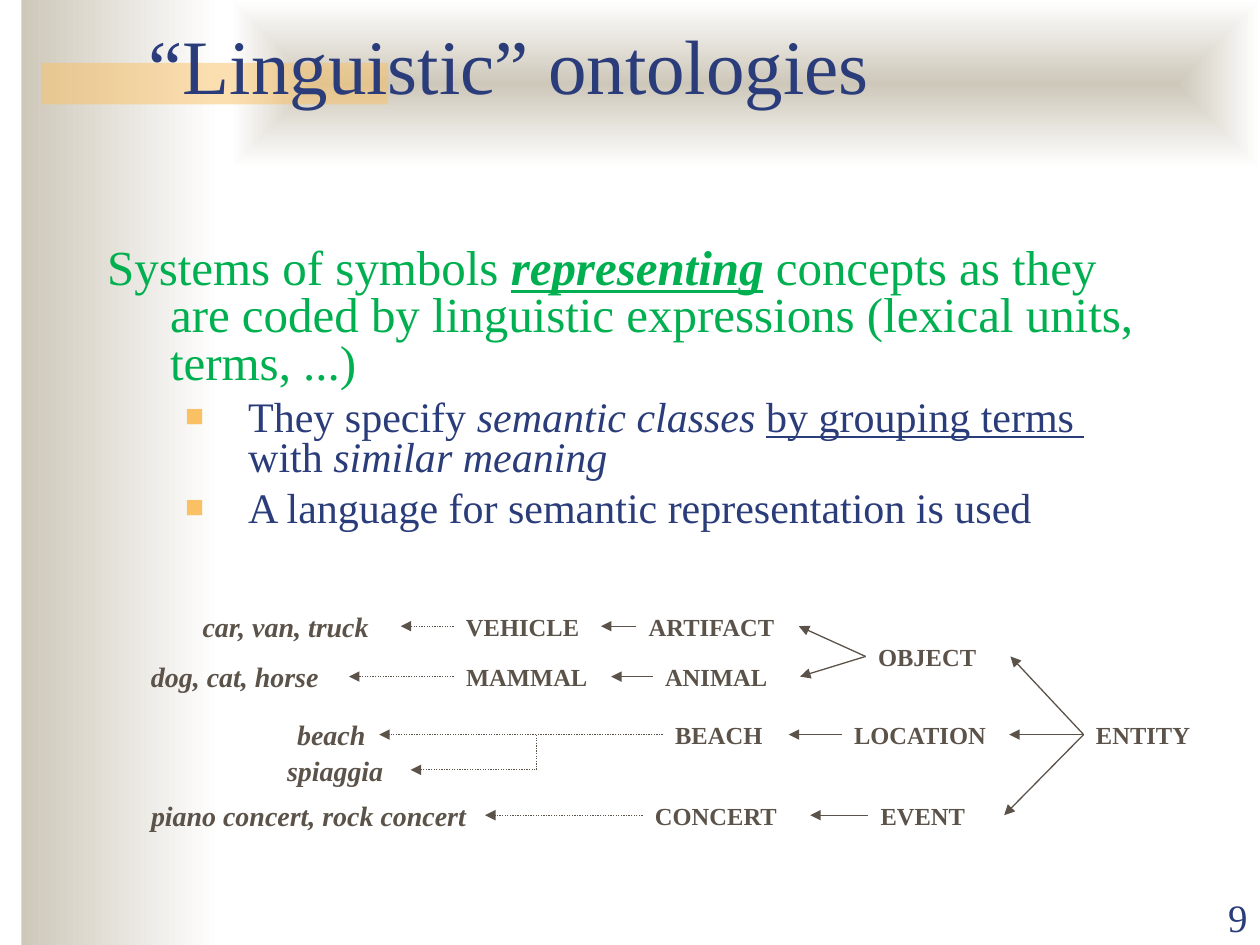
import pptx
import pptx.util
import pptx.dml.color
import pptx.enum.dml
import pptx.enum.shapes
import pptx.enum.text
import pptx.oxml
import pptx.oxml.ns

Inches, Pt = pptx.util.Inches, pptx.util.Pt
RGBColor = pptx.dml.color.RGBColor
ANCHOR = pptx.enum.text.MSO_ANCHOR
ALIGN = pptx.enum.text.PP_ALIGN
CONNECTOR = pptx.enum.shapes.MSO_CONNECTOR
qn = pptx.oxml.ns.qn

NAVY = RGBColor(0x2A, 0x3D, 0x7A)
GREEN = RGBColor(0x00, 0xB0, 0x50)
BROWN = RGBColor(0x5B, 0x52, 0x49)
SAND = RGBColor(0xCE, 0xC8, 0xBA)
ORANGE = RGBColor(0xFA, 0xC1, 0x64)
WHITE = RGBColor(0xFF, 0xFF, 0xFF)
FONT = "Times New Roman"

TITLE = "“Linguistic” ontologies"
LEAD = [
    ("Systems of symbols ", {}),
    ("representing", {"bold": True, "italic": True, "underline": True}),
    (" concepts as they are coded by linguistic expressions (lexical units, terms, ...)", {}),
]
POINTS = [
    [
        ("They specify ", {}),
        ("semantic classes ", {"italic": True}),
        ("by grouping terms  ", {"underline": True}),
        ("with ", {}),
        ("similar meaning", {"italic": True}),
    ],
    [("A language for semantic representation is used", {})],
]

# name: (left, centre height, width)
CONCEPTS = {
    "ENTITY": (8.6, 5.83, 1.17),
    "OBJECT": (6.87, 5.21, 1.15),
    "LOCATION": (6.68, 5.83, 1.33),
    "EVENT": (6.89, 6.47, 1.08),
    "ARTIFACT": (5.05, 4.97, 1.29),
    "ANIMAL": (5.18, 5.37, 1.17),
    "BEACH": (5.26, 5.83, 1),
    "CONCERT": (5.1, 6.47, 1.33),
    "VEHICLE": (3.6, 4.97, 1.17),
    "MAMMAL": (3.6, 5.37, 1.25),
}
TERMS = {
    "car, van, truck": (1.51, 4.97, 1.67),
    "dog, cat, horse": (1.1, 5.37, 1.67),
    "beach": (2.26, 5.83, 0.75),
    "spiaggia": (2.18, 6.11, 1.08),
    "piano concert, rock concert": (1.1, 6.47, 2.75),
}
CHILDREN = {
    "ENTITY": ["OBJECT", "LOCATION", "EVENT"],
    "OBJECT": ["ARTIFACT", "ANIMAL"],
    "LOCATION": ["BEACH"],
    "EVENT": ["CONCERT"],
    "ARTIFACT": ["VEHICLE"],
    "ANIMAL": ["MAMMAL"],
    "VEHICLE": ["car, van, truck"],
    "MAMMAL": ["dog, cat, horse"],
    "BEACH": ["beach", "spiaggia"],
    "CONCERT": ["piano concert, rock concert"],
}


def add_xml(parent, xml):
    head, tail = xml.split(" ", 1)
    ns = 'xmlns:a="http://schemas.openxmlformats.org/drawingml/2006/main"'
    el = pptx.oxml.parse_xml(f"{head} {ns} {tail}")
    parent.append(el)
    return el


def add_run(p, text, size=14, color=BROWN, bold=False, italic=False, underline=False):
    r = p.add_run()
    r.text = text
    f = r.font
    f.name, f.size, f.bold, f.italic, f.underline = FONT, Pt(size), bold, italic, underline
    f.color.rgb = color


def place(sp, left, top, width, height):
    sp.left, sp.top, sp.width, sp.height = map(Inches, (left, top, width, height))


def add_label(slide, text, box, anchor=ANCHOR.MIDDLE, align=ALIGN.LEFT, **fmt):
    tf = slide.shapes.add_textbox(*map(Inches, box)).text_frame
    tf.word_wrap = True
    tf.vertical_anchor = anchor
    tf.paragraphs[0].alignment = align
    add_run(tf.paragraphs[0], text, **fmt)


def add_panel(slide, box):
    sp = slide.shapes.add_shape(pptx.enum.shapes.MSO_SHAPE.RECTANGLE, *map(Inches, box))
    sp.shadow.inherit = False
    sp.line.fill.background()
    return sp


def fade(sp):
    sp.fill.gradient()
    sp.fill.gradient_angle = 0
    for stop, color, pos in zip(sp.fill.gradient_stops, (SAND, WHITE), (0, 1)):
        stop.color.rgb = color
        stop.position = pos


def add_decoration(slide):
    fade(add_panel(slide, (0.17, 0, 1.58, 7.5)))
    band = add_panel(slide, (1.83, 0, 8.17, 1.33))
    fade(band)
    grad = band._element.spPr.find(qn("a:gradFill"))
    centre = add_xml(grad, '<a:path path="rect"><a:fillToRect l="50000" t="50000" r="50000" b="50000"/></a:path>')
    grad.replace(grad.find(qn("a:lin")), centre)
    bar = add_panel(slide, (0.33, 0.5, 2.75, 0.33))
    bar.fill.solid()
    bar.fill.fore_color.rgb = ORANGE
    add_xml(bar._element.spPr.find(".//" + qn("a:srgbClr")), '<a:alpha val="50000"/>')


def fill_paragraph(p, runs, size, color, margin, before, bullet):
    p.line_spacing = 0.8
    p.space_before = Pt(before)
    pPr = p._p.get_or_add_pPr()
    pPr.set("marL", str(Inches(margin)))
    pPr.set("indent", str(Inches(-0.5)))
    for xml in bullet:
        add_xml(pPr, xml)
    for text, fmt in runs:
        add_run(p, text, size=size, color=color, **fmt)


def add_texts(slide):
    title, body = slide.placeholders
    for sp in (title, body):
        slide.shapes._spTree.append(sp._element)
        sp.text_frame.auto_size = pptx.enum.text.MSO_AUTO_SIZE.NONE
    place(title, 1.08, 0, 8, 0.92)
    title.text_frame.vertical_anchor = ANCHOR.BOTTOM
    p = title.text_frame.paragraphs[0]
    p.alignment = ALIGN.LEFT
    add_run(p, TITLE, size=44, color=NAVY)

    place(body, 0.75, 1.92, 8.5, 3.05)
    tf = body.text_frame
    fill_paragraph(tf.paragraphs[0], LEAD, 28, GREEN, 0.5, 7, ["<a:buNone />"])
    square = [
        f'<a:buClr ><a:srgbClr val="{ORANGE}"/></a:buClr>',
        '<a:buSzPct val="75000"/>',
        '<a:buFont typeface="Arial"/>',
        '<a:buChar char="■"/>',
    ]
    for runs in POINTS:
        p = tf.add_paragraph()
        p.level = 1
        fill_paragraph(p, runs, 24, NAVY, 1.12, 6, square)


def add_arrow(slide, start, end, dotted):
    kind = CONNECTOR.ELBOW if dotted and start[1] != end[1] else CONNECTOR.STRAIGHT
    cx = slide.shapes.add_connector(kind, *map(Inches, start + end))
    cx.line.color.rgb = BROWN
    cx.line.width = Pt(0.75)
    if dotted:
        cx.line.dash_style = pptx.enum.dml.MSO_LINE.ROUND_DOT
    add_xml(cx.line._get_or_add_ln(), '<a:tailEnd type="triangle"/>')
    add_xml(cx._element.spPr, "<a:effectLst />")


def add_taxonomy(slide):
    for nodes, size, height in ((CONCEPTS, 14, 0.34), (TERMS, 16, 0.37)):
        for name, (left, middle, width) in nodes.items():
            box = (left, middle - height / 2, width, height)
            add_label(slide, name, box, size=size, bold=True, italic=nodes is TERMS)
    nodes = CONCEPTS | TERMS
    for parent, children in CHILDREN.items():
        for child in children:
            left, middle, width = nodes[child]
            add_arrow(slide, nodes[parent][:2], (left + width, middle), child in TERMS)


def main():
    prs = pptx.Presentation()
    prs.slide_width, prs.slide_height = Inches(10), Inches(7.5)
    slide = prs.slides.add_slide(prs.slide_layouts[1])
    add_decoration(slide)
    add_label(slide, "9", (9, 7.01, 1, 0.5), anchor=ANCHOR.BOTTOM, align=ALIGN.RIGHT, size=22.2, color=NAVY)
    add_texts(slide)
    add_taxonomy(slide)
    prs.save("out.pptx")


if __name__ == "__main__":
    main()
